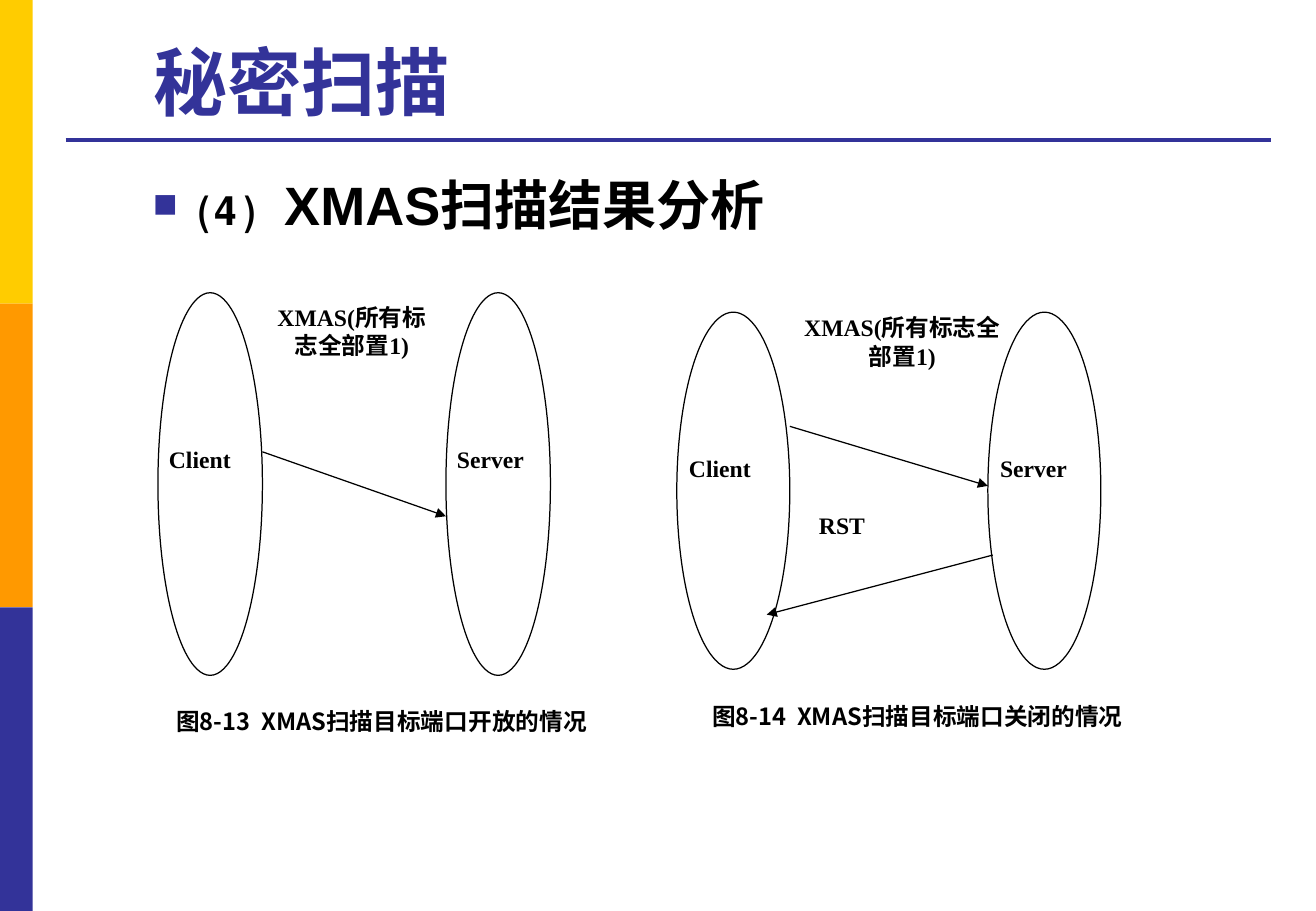
"""Build the slide on XMAS scan results for open and closed ports."""
from lxml import etree
from pptx import Presentation
from pptx.dml.color import RGBColor
from pptx.enum.shapes import MSO_CONNECTOR as Connector, MSO_SHAPE as Shape
from pptx.enum.text import MSO_ANCHOR as Anchor, MSO_AUTO_SIZE as AutoSize, PP_ALIGN as Align
from pptx.oxml.ns import qn
from pptx.util import Inches, Pt

YELLOW = RGBColor(0xFF, 0xCC, 0x00)
ORANGE = RGBColor(0xFF, 0x99, 0x00)
INDIGO = RGBColor(0x33, 0x33, 0x99)
BLACK = RGBColor(0, 0, 0)
WHITE = RGBColor(0xFF, 0xFF, 0xFF)
LATIN, SERIF, CHINESE = "Arial", "Times New Roman", "Noto Sans CJK SC"


def write_text(shape, text, size=14, font=SERIF, color=BLACK, align=Align.CENTER,
               anchor=Anchor.TOP, inset=0):
    """Write one bold paragraph into a shape and return the paragraph."""
    frame = shape.text_frame
    frame.word_wrap = True
    frame.auto_size = AutoSize.NONE
    frame.vertical_anchor = anchor
    frame.margin_left = frame.margin_right = Inches(inset)
    frame.margin_top = frame.margin_bottom = Inches(inset / 2)
    paragraph = frame.paragraphs[0]
    paragraph.alignment = align
    paragraph.space_before = Pt(0)
    run = paragraph.add_run()
    run.text = text
    run.font.size = Pt(size)
    run.font.name = font
    run.font.bold = True
    run.font.color.rgb = color
    east_asian = etree.Element(qn("a:ea"), typeface=CHINESE)
    run.font._element.find(qn("a:latin")).addnext(east_asian)
    return paragraph


def add_filled(shapes, kind, box, fill, outline=None):
    """Add a filled preset shape with an optional thin outline."""
    shape = shapes.add_shape(kind, *map(Inches, box))
    shape.shadow.inherit = False
    shape.fill.solid()
    shape.fill.fore_color.rgb = fill
    if outline is None:
        shape.line.fill.background()
    else:
        shape.line.color.rgb = outline
        shape.line.width = Pt(0.75)
    return shape


def add_label(shapes, text, box, **text_format):
    """Add a white rectangle with text."""
    write_text(add_filled(shapes, Shape.RECTANGLE, box, WHITE), text, **text_format)


def add_line(shapes, start, end, color=BLACK, width=0.75, arrow=True):
    """Add a straight line, with an arrowhead at its end if wanted."""
    points = map(Inches, (*start, *end))
    line = shapes.add_connector(Connector.STRAIGHT, *points)
    line.line.color.rgb = color
    line.line.width = Pt(width)
    if arrow:
        etree.SubElement(line.line._get_or_add_ln(), qn("a:tailEnd"), type="triangle")
    etree.SubElement(line._element.spPr, qn("a:effectLst"))


def add_bullet(paragraph):
    """Give the paragraph a square indigo bullet and a hanging indent."""
    properties = paragraph._p.get_or_add_pPr()
    properties.set("marL", str(Inches(0.38)))
    properties.set("indent", str(Inches(-0.38)))
    color = etree.SubElement(properties, qn("a:buClr"))
    etree.SubElement(color, qn("a:srgbClr"), val=str(INDIGO))
    etree.SubElement(properties, qn("a:buSzPct"), val="75000")
    etree.SubElement(properties, qn("a:buFont"), typeface=LATIN)
    etree.SubElement(properties, qn("a:buChar"), char="■")


def place(shape, box):
    """Move and size a placeholder."""
    shape.left, shape.top, shape.width, shape.height = map(Inches, box)


def add_scan(slide, host_lefts, host_size, host_top, name_box, flags_box,
             caption, caption_box, arrows):
    """Add a grouped client and server diagram and return its shapes."""
    shapes = slide.shapes.add_group_shape().shapes
    add_label(shapes, "XMAS(所有标志全部置1)", flags_box)
    name_inset, name_top, *name_size = name_box
    for name, left in zip(("Client", "Server"), host_lefts):
        add_filled(shapes, Shape.OVAL, (left, host_top, *host_size), WHITE, BLACK)
        add_label(shapes, name, (left + name_inset, name_top, *name_size),
                  align=Align.JUSTIFY)
    add_label(shapes, caption, caption_box, font=CHINESE)
    for start, end in arrows:
        add_line(shapes, start, end)
    return shapes


def main():
    """Build and save the slide."""
    presentation = Presentation()
    presentation.slide_width, presentation.slide_height = Inches(10.83), Inches(7.5)
    slide = presentation.slides.add_slide(presentation.slide_layouts[1])

    for index, color in enumerate((YELLOW, ORANGE, INDIGO)):
        add_filled(slide.shapes, Shape.RECTANGLE, (0, 2.5 * index, 0.27, 2.5), color)
    add_line(slide.shapes, (0.54, 1.15), (10.46, 1.15), INDIGO, 2.25, arrow=False)

    title, body = slide.placeholders
    place(title, (1.16, 0.21, 7.51, 0.87))
    write_text(title, "秘密扫描", size=44, font=LATIN, color=INDIGO,
               align=Align.LEFT, anchor=Anchor.BOTTOM, inset=0.1)
    place(body, (1.16, 1.31, 8.42, 0.71))
    heading = write_text(body, "⑷  XMAS扫描结果分析", size=32, font=LATIN,
                         align=Align.LEFT, inset=0.1)
    heading.line_spacing = 1.1
    add_bullet(heading)

    add_scan(slide, (1.3, 3.67), (0.86, 3.15), 2.41, (0.09, 3.66, 0.65, 0.79),
             (2.25, 2.49, 1.29, 1.05),
             "图8-13  XMAS扫描目标端口开放的情况", (1.09, 5.82, 4.1, 0.53),
             [((2.16, 3.72), (3.67, 4.25))])
    closed = add_scan(slide, (5.57, 8.13), (0.93, 2.94), 2.57, (0.1, 3.74, 0.7, 0.74),
                      (6.6, 2.58, 1.65, 0.98),
                      "图8-14  XMAS扫描目标端口关闭的情况", (5.34, 5.78, 4.42, 0.49),
                      [((6.5, 3.51), (8.13, 4)), ((8.17, 4.57), (6.31, 5.06))])
    add_label(closed, "RST", (6.74, 4.21, 0.76, 0.53), align=Align.JUSTIFY)
    presentation.save("out.pptx")


if __name__ == "__main__":
    main()
